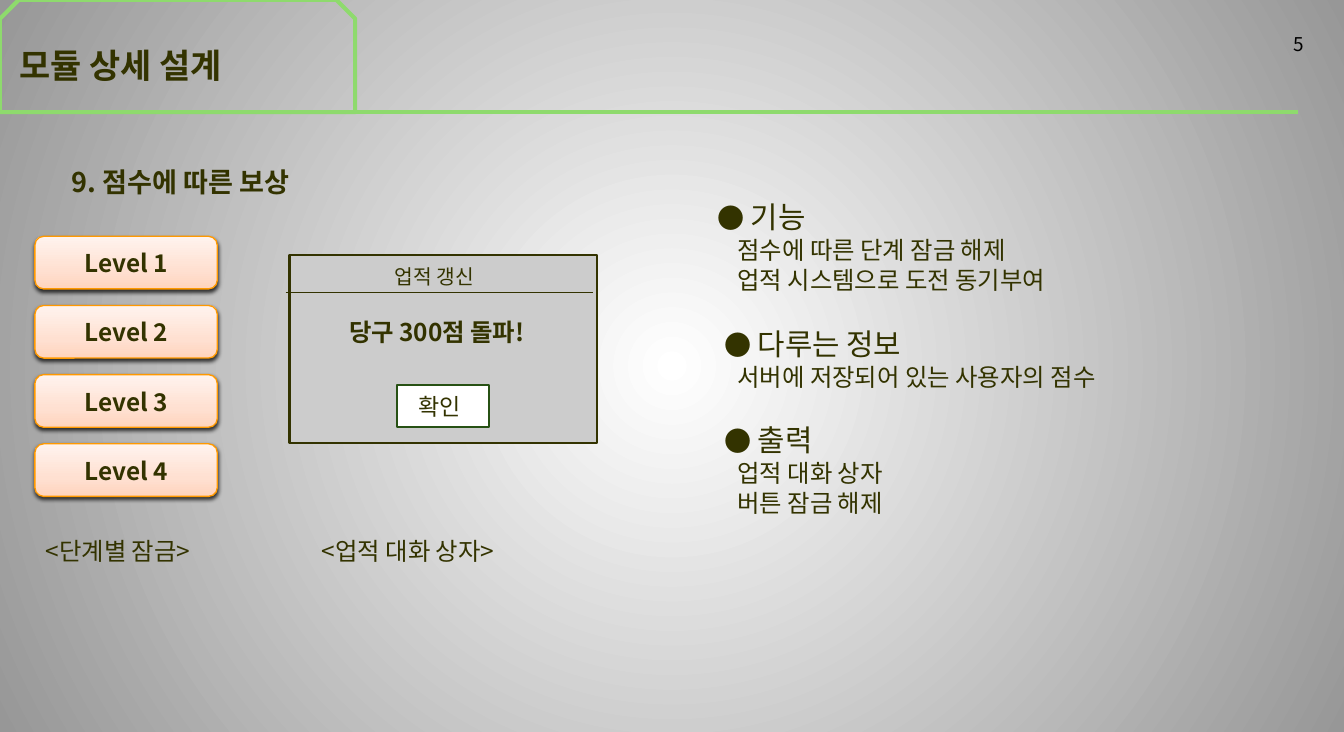
from dataclasses import dataclass, field
from typing import Any

from lxml.etree import SubElement
from pptx import Presentation
from pptx.dml.color import RGBColor
from pptx.enum.shapes import MSO_CONNECTOR, MSO_SHAPE
from pptx.enum.text import MSO_ANCHOR, MSO_AUTO_SIZE, PP_ALIGN
from pptx.oxml.ns import qn
from pptx.util import Cm, Pt


@dataclass(frozen=True)
class Theme:
    font: str = "Noto Sans CJK KR"
    ink: str = "333300"
    black: str = "000000"
    white: str = "FFFFFF"
    accent: str = "8EDA6D"
    dialog: str = "CCCCCC"
    confirm_line: str = "275114"
    level_line: str = "FF9900"
    level_stops: tuple = ((0, "FFD4BD"), (35, "FFE0D1"), (100, "FFF3EE"))
    background_stops: tuple = ((0, "FFFFFF"), (100, "979797"))
    title: int = 25
    section: int = 22
    heading: int = 20
    body: int = 18
    confirm: int = 17
    dialog_title: int = 15
    number: int = 14
    line_height: float = 1.23


THEME = Theme()


@dataclass(frozen=True)
class Box:
    left: float
    top: float
    width: float
    height: float

    def lengths(self) -> tuple:
        return Cm(self.left), Cm(self.top), Cm(self.width), Cm(self.height)


@dataclass(frozen=True)
class Label:
    box: Box
    text: str
    size: int = THEME.body
    style: dict[str, Any] = field(default_factory=dict)


@dataclass(frozen=True)
class Rule:
    left: float
    right: float
    top: float
    color: str
    weight: float


@dataclass(frozen=True)
class Section:
    name: str
    indent: float
    items: tuple[str, ...]


BOLD = {"bold": True}
TAB = Box(0, 0, 9.25, 2.92)
TITLE = Box(0.25, 0.33, 8.75, 2.67)
FIRST_LEVEL = Box(0.91, 6.15, 4.75, 1.37)
LEVEL_PITCH = 1.8
LEVEL_COUNT = 4
DIALOG = Box(7.54, 6.63, 8, 4.9)
CONFIRM = Box(10.34, 10.03, 2.39, 1.09)
DETAILS = Box(18.44, 5.03, 11.81, 8.38)
ITEM_INDENT = 0.51
CAPTION_TOP = 13.82

RULES = (
    Rule(0, 33.81, 2.92, THEME.accent, 3),
    Rule(7.44, 15.44, 7.62, THEME.ink, 1),
)
LABELS = (
    Label(Box(26.06, 0.71, 8.15, 0.69), "5", THEME.number,
          {"color": THEME.black, "alignment": PP_ALIGN.RIGHT}),
    Label(Box(1.61, 4.17, 30.86, 1.12), "9. 점수에 따른 보상", THEME.heading, BOLD),
    Label(Box(8.84, 8.1, 6.6, 1.02), "당구 300점 돌파!", style=BOLD),
    Label(Box(10.03, 6.73, 4.6, 0.86), "업적 갱신", THEME.dialog_title),
    Label(Box(0.94, CAPTION_TOP, 4.8, 1.02), "<단계별 잠금>"),
    Label(Box(8.13, CAPTION_TOP, 6.83, 1.02), "<업적 대화 상자>"),
)
SECTIONS = (
    Section("기능", 0, ("점수에 따른 단계 잠금 해제", "업적 시스템으로 도전 동기부여")),
    Section("다루는 정보", 0.18, ("서버에 저장되어 있는 사용자의 점수",)),
    Section("출력", 0.18, ("업적 대화 상자", "버튼 잠금 해제")),
)


def set_values(target: Any, values: dict[str, Any]) -> None:
    for name, value in values.items():
        setattr(target, name, value)


def add_run(paragraph: Any, text: str, size: int, color: str = THEME.ink, bold: bool = False) -> None:
    run = paragraph.add_run()
    run.text = text
    set_values(run.font, {"name": THEME.font, "size": Pt(size), "bold": bold})
    run.font.color.rgb = RGBColor.from_string(color)
    SubElement(run.font._element, qn("a:ea"), typeface=THEME.font)


def write(paragraph: Any, text: str, size: int, alignment: PP_ALIGN = PP_ALIGN.LEFT, **style: Any) -> None:
    values = {"alignment": alignment, "line_spacing": Pt(round(size * THEME.line_height, 1))}
    set_values(paragraph, values)
    add_run(paragraph, text, size, **style)


def set_gradient(fill: Any, owner: Any, stops: tuple) -> Any:
    """Fill with the colour stops and return the element that takes the direction."""
    fill.gradient()
    gradient = owner.find(".//" + qn("a:gradFill"))
    gradient.clear()
    gradient.set("rotWithShape", "1")
    stop_list = SubElement(gradient, qn("a:gsLst"))
    for position, color in stops:
        stop = SubElement(stop_list, qn("a:gs"), pos=str(position * 1000))
        SubElement(stop, qn("a:srgbClr"), val=color)
    return gradient


def paint_background(slide: Any) -> None:
    gradient = set_gradient(slide.background.fill, slide._element, THEME.background_stops)
    path = SubElement(gradient, qn("a:path"), {"path": "circle"})
    SubElement(path, qn("a:fillToRect"), dict.fromkeys("ltrb", "50000"))


def add_outlined(slide: Any, kind: MSO_SHAPE, box: Box, line: str, weight: float, fill: str = "") -> Any:
    shape = slide.shapes.add_shape(kind, *box.lengths())
    shape.shadow.inherit = False
    if fill:
        shape.fill.solid()
        shape.fill.fore_color.rgb = RGBColor.from_string(fill)
    else:
        shape.fill.background()
    shape.line.color.rgb = RGBColor.from_string(line)
    shape.line.width = Pt(weight)
    shape.text_frame.vertical_anchor = MSO_ANCHOR.MIDDLE
    return shape


def add_level(slide: Any, index: int) -> None:
    top = FIRST_LEVEL.top + index * LEVEL_PITCH
    box = Box(FIRST_LEVEL.left, top, FIRST_LEVEL.width, FIRST_LEVEL.height)
    shape = add_outlined(slide, MSO_SHAPE.FLOWCHART_ALTERNATE_PROCESS, box, THEME.level_line, 1)
    gradient = set_gradient(shape.fill, shape._element, THEME.level_stops)
    SubElement(gradient, qn("a:lin"), ang="16200000", scaled="0")
    effects = shape._element.spPr.find(qn("a:effectLst"))
    shadow = SubElement(effects, qn("a:outerShdw"), blurRad=str(Pt(3)), dist=str(Pt(2)),
                        dir="5400000", rotWithShape="0")
    color = SubElement(shadow, qn("a:srgbClr"), val=THEME.black)
    SubElement(color, qn("a:alpha"), val="75000")
    write(shape.text_frame.paragraphs[0], f"Level {index + 1}", THEME.body, PP_ALIGN.CENTER, bold=True)


def add_rule(slide: Any, rule: Rule) -> None:
    connector = slide.shapes.add_connector(
        MSO_CONNECTOR.STRAIGHT, Cm(rule.left), Cm(rule.top), Cm(rule.right), Cm(rule.top))
    connector.line.color.rgb = RGBColor.from_string(rule.color)
    connector.line.width = Pt(rule.weight)
    SubElement(connector._element.spPr, qn("a:effectLst"))


def add_text_frame(slide: Any, box: Box) -> Any:
    frame = slide.shapes.add_textbox(*box.lengths()).text_frame
    frame.word_wrap = True
    return frame


def add_details(slide: Any) -> None:
    frame = add_text_frame(slide, DETAILS)
    for index, section in enumerate(SECTIONS):
        heading = frame.add_paragraph() if index else frame.paragraphs[0]
        write(heading, "● ", THEME.heading)
        add_run(heading, section.name, THEME.section)
        heading.line_spacing = Pt(round(THEME.section * THEME.line_height, 1))
        heading._p.get_or_add_pPr().set("marL", str(Cm(section.indent)))
        if index:
            heading.space_before = Pt(22)
        for item in section.items:
            paragraph = frame.add_paragraph()
            write(paragraph, item, THEME.body)
            paragraph._p.get_or_add_pPr().set("marL", str(Cm(ITEM_INDENT)))


def set_title(slide: Any) -> None:
    title = slide.shapes.title
    set_values(title, dict(zip(("left", "top", "width", "height"), TITLE.lengths())))
    set_values(title.text_frame, {"vertical_anchor": MSO_ANCHOR.MIDDLE, "auto_size": MSO_AUTO_SIZE.NONE})
    write(title.text_frame.paragraphs[0], "모듈 상세 설계", THEME.title, bold=True)


def main() -> None:
    presentation = Presentation()
    set_values(presentation, {"slide_width": Cm(35), "slide_height": Cm(19.05)})
    slide = presentation.slides.add_slide(presentation.slide_layouts[5])
    paint_background(slide)
    set_title(slide)
    tab = add_outlined(slide, MSO_SHAPE.SNIP_2_SAME_RECTANGLE, TAB, THEME.accent, 3)
    tab.adjustments[0] = 0.167
    for index in range(LEVEL_COUNT):
        add_level(slide, index)
    add_outlined(slide, MSO_SHAPE.RECTANGLE, DIALOG, THEME.ink, 1.5, THEME.dialog)
    confirm = add_outlined(slide, MSO_SHAPE.RECTANGLE, CONFIRM, THEME.confirm_line, 1.5, THEME.white)
    confirm.text_frame.margin_left = Cm(0.55)
    write(confirm.text_frame.paragraphs[0], "확인", THEME.confirm)
    for rule in RULES:
        add_rule(slide, rule)
    for label in LABELS:
        write(add_text_frame(slide, label.box).paragraphs[0], label.text, label.size, **label.style)
    add_details(slide)
    presentation.save("out.pptx")


if __name__ == "__main__":
    main()
